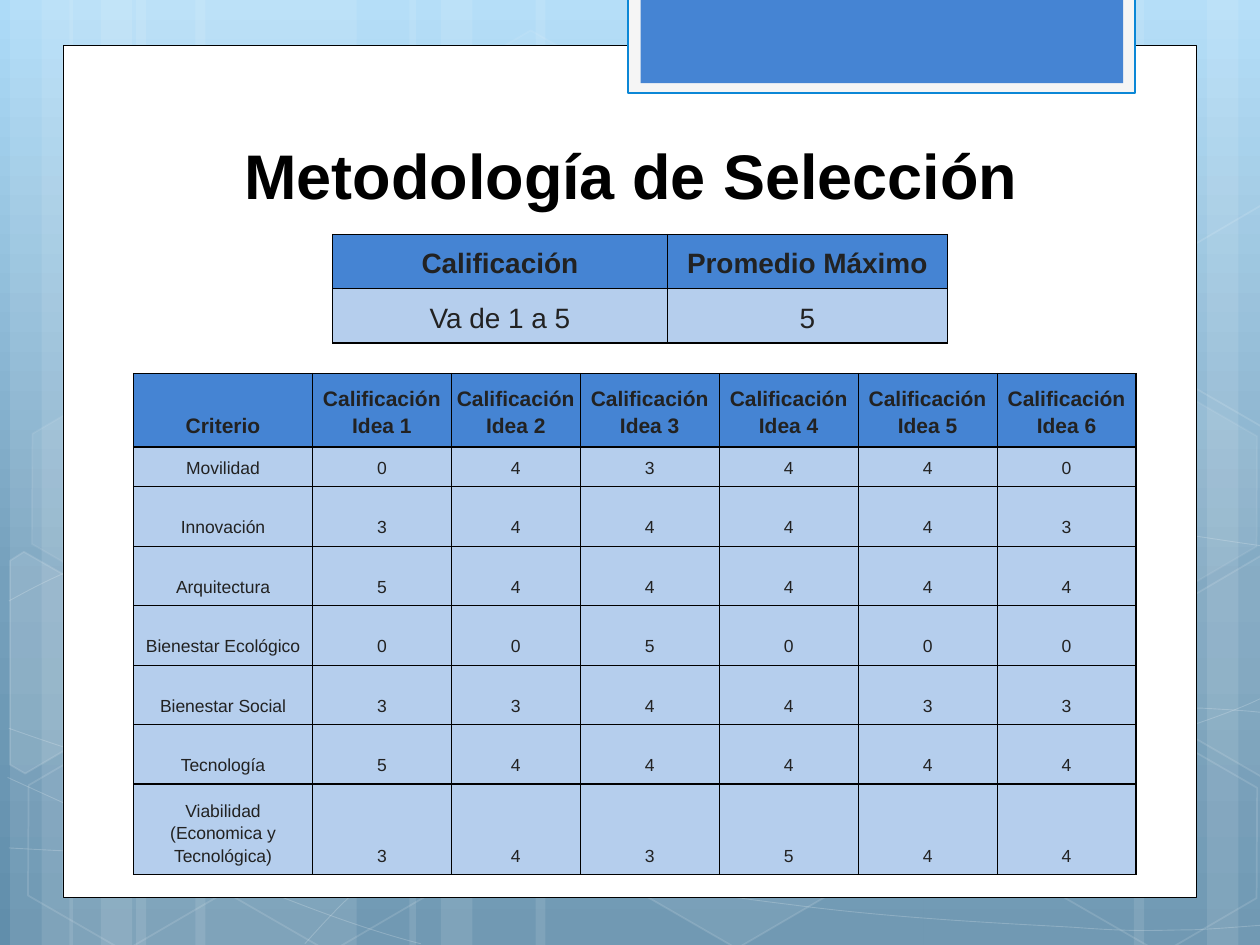
from dataclasses import dataclass
from typing import NamedTuple, Optional

from pptx import Presentation
from pptx.dml.color import RGBColor
from pptx.enum.shapes import MSO_SHAPE as Preset
from pptx.enum.text import MSO_ANCHOR as Anchor, PP_ALIGN as Align
from pptx.oxml import parse_xml
from pptx.oxml.ns import nsdecls, qn
from pptx.util import Inches, Pt

COLUMNS, ROWS = 100, 75
CELL = Inches(0.1)
FONT = "Arial"
WHITE = RGBColor(0xFF, 0xFF, 0xFF)
BLACK = RGBColor(0x00, 0x00, 0x00)
INK = RGBColor(0x22, 0x22, 0x22)
BLUE = RGBColor(0x45, 0x84, 0xD3)
PALE_BLUE = RGBColor(0xB5, 0xCE, 0xED)
TAB_GREY = RGBColor(0xF5, 0xF5, 0xF5)
TAB_EDGE = RGBColor(0x0B, 0x87, 0xD6)
SKY_STOPS = (
    (0, RGBColor(0xAD, 0xDB, 0xF8)),
    (62, RGBColor(0x75, 0xA0, 0xBC)),
    (100, RGBColor(0x61, 0x8E, 0xAB)),
)


class Box(NamedTuple):
    left: float
    top: float
    width: float
    height: float


@dataclass(frozen=True)
class Paint:
    fill: Optional[RGBColor] = None
    fill_alpha: int = 100
    line: Optional[RGBColor] = None
    line_width: float = 1
    line_alpha: int = 100


@dataclass(frozen=True)
class Grid:
    left: float
    top: float
    widths: tuple
    heights: tuple
    cells: tuple
    header_size: int
    body_size: int


BANDS = ((10.8, 17.5), (0.8, 5), (3.3, 8.3), (15.5, 17.5), (5.5, 5), (8, 8.3),
         (73.3, 17.5), (95.8, 5), (90, 8.3), (42.5, 30.8), (32.5, 5), (35, 8.3))
CURVES = (
    ((0.7, 67.3), (6.1, 67.6), (11.5, 67.9), (19, 67.8), (26.5, 67.7), (35.8, 67.5), (45.8, 66.5),
     (55.8, 65.5), (70, 63.6), (79.2, 61.7), (88.3, 59.8), (97.7, 56.8), (100.7, 55.1)),
    ((0.7, 47.7), (3.6, 46.1), (6.5, 44.6), (12.1, 43.1), (17.8, 41.6), (25.9, 39.4), (34.7, 38.7),
     (43.6, 38), (54.4, 37.9), (65.4, 38.7), (76.4, 39.5), (94.7, 42.6), (100.7, 43.4)),
    ((0.6, 61.7), (12.7, 67.2), (24.7, 72.7), (33.4, 74.9)),
    ((0.7, 57.8), (3.8, 58.9), (7, 60), (12.8, 61.6), (18.6, 63.1), (27.3, 65.6), (35.7, 67.3),
     (44, 69), (54.5, 70.8), (62.8, 71.8), (71.1, 72.9), (80, 73.3), (85.3, 73.6),
     (90.5, 74), (91.9, 73.8), (94.5, 73.8), (97.1, 73.7), (98.9, 73.5), (100.7, 73.4)),
    ((24.2, 74.9), (26, 72.9), (27.8, 70.9), (30.2, 69.1), (32.6, 67.3), (36, 65.3), (38.8, 63.9),
     (41.6, 62.5), (43.3, 61.9), (47, 60.9), (50.6, 59.9), (57.3, 58.5), (60.8, 57.8),
     (64.4, 57.1), (64.9, 57.1), (68, 56.9), (71.1, 56.6), (76, 56.3), (79.4, 56.2),
     (82.9, 56.1), (88.6, 56.2), (88.6, 56.2), (90.8, 56.2), (93.1, 56.2), (95.3, 56.2),
     (97.1, 56.3), (98.8, 56.4), (99.7, 56.5), (100.6, 56.6), (100.3, 56.5), (100.6, 56.6)),
)
CURVE_PAINT = Paint(line=WHITE, line_width=0.5, line_alpha=20)
OUTLINE = Paint(line=WHITE, line_alpha=12)
FAINT = Paint(WHITE, 7, WHITE, 1, 8)
HEXAGONS = (
    (33.4, 3.6, Paint(WHITE, 4, WHITE, 1, 8)),
    (49.7, 58.9, Paint(WHITE, 6, WHITE, 1, 12)),
    (1.1, 59.1, OUTLINE), (1.4, 31.2, FAINT), (17.4, 59.2, OUTLINE),
    (83.4, 59.3, OUTLINE), (83.4, 31.4, FAINT),
)
CUT_HEXAGONS = (
    (((0.8, 44.5), (1.9, 43.8), (9.6, 48.2), (9.5, 57), (2, 61.4), (0.8, 60.7)),
     Paint(WHITE, 10, WHITE, 1, 12)),
    (((92.6, 48.5), (100.1, 44.1), (100.9, 44.6), (100.9, 61.3), (100.2, 61.7), (92.6, 57.3)),
     Paint(WHITE, 4, WHITE, 1, 12)),
    (((92.6, 20.7), (100.1, 16.3), (101, 16.8), (100.9, 33.5), (100.2, 33.9), (92.6, 29.5)), OUTLINE),
)
PANELS = (
    (Box(5, 3.6, 90, 67.65), Paint(WHITE, line=BLACK, line_width=0.5)),
    (Box(49.85, -0.2, 40.25, 7.6), Paint(TAB_GREY, line=TAB_EDGE, line_width=1.25)),
    (Box(50.85, -0.2, 38.3, 6.8), Paint(BLUE)),
)
SCALE_TABLE = Grid(26.4, 18.6, (26.55, 22.25), (3, 3),
                   (("Calificación", "Promedio Máximo"), ("Va de 1 a 5", "5")), 16, 16)
SCORES = {
    "Movilidad": "043440", "Innovación": "344443", "Arquitectura": "544444",
    "Bienestar Ecológico": "005000", "Bienestar Social": "334433",
    "Tecnología": "544444", "Viabilidad (Economica y Tecnológica)": "343544",
}
SCORE_TABLE = Grid(
    10.6, 29.63, (14.2, 11.03, 10.23) + (11.03,) * 4, (5.4, 3) + (4.72,) * 5 + (7.2,),
    (("Criterio", *(f"Calificación Idea {idea}" for idea in range(1, 7))),
     *((criterion, *scores) for criterion, scores in SCORES.items())), 12, 10)


def emu(cells: float) -> int:
    """Convert grid cells to slide units."""
    return round(cells * CELL)


def set_color(fill, color: RGBColor, alpha: int, element) -> None:
    """Apply a solid colour, adding its opacity when it is translucent."""
    fill.solid()
    fill.fore_color.rgb = color
    if alpha < 100:
        color_element = element.find(qn("a:solidFill")).find(qn("a:srgbClr"))
        color_element.append(parse_xml(f'<a:alpha {nsdecls("a")} val="{alpha * 1000}"/>'))


def paint_shape(shape, paint: Paint) -> None:
    """Set fill, line and shadow of a shape."""
    shape.shadow.inherit = False
    properties = shape.element.spPr
    if paint.fill is None:
        shape.fill.background()
    else:
        set_color(shape.fill, paint.fill, paint.fill_alpha, properties)
    if paint.line is None:
        shape.line.fill.background()
    else:
        shape.line.width = Pt(paint.line_width)
        set_color(shape.line.fill, paint.line, paint.line_alpha, properties.find(qn("a:ln")))


def draw_preset(slide, preset: Preset, box: Box, paint: Paint):
    """Draw a preset shape on the grid."""
    shape = slide.shapes.add_shape(preset, *map(emu, box))
    paint_shape(shape, paint)
    return shape


def draw_outline(slide, points: tuple, paint: Paint, close: bool):
    """Draw a line or polygon through grid points."""
    start, *others = [(emu(x), emu(y)) for x, y in points]
    builder = slide.shapes.build_freeform(*start)
    builder.add_line_segments(others, close=close)
    shape = builder.convert_to_shape()
    paint_shape(shape, paint)
    return shape


def draw_curve(slide, points: tuple, paint: Paint) -> None:
    """Draw a chain of cubic Bézier segments, three points to each."""
    shape = draw_outline(slide, points, paint, False)
    segments = list(shape.element.iter(qn("a:lnTo")))
    for first in range(0, len(segments), 3):
        bezier = parse_xml(f'<a:cubicBezTo {nsdecls("a")}/>')
        segments[first].addprevious(bezier)
        for segment in segments[first:first + 3]:
            bezier.append(segment[0])
            segment.getparent().remove(segment)


def write_text(frame, text: str, size: int, color: RGBColor, bold: bool, spacing: float = 1.0) -> None:
    """Write one centred run."""
    frame.word_wrap = True
    paragraph = frame.paragraphs[0]
    paragraph.alignment = Align.CENTER
    paragraph.line_spacing = spacing
    run = paragraph.add_run()
    run.text = text
    run.font.name, run.font.size, run.font.bold = FONT, Pt(size), bold
    run.font.color.rgb = color


def draw_table(slide, grid: Grid) -> None:
    """Draw a bordered table with a darker header row."""
    box = Box(grid.left, grid.top, sum(grid.widths), sum(grid.heights))
    table = slide.shapes.add_table(len(grid.heights), len(grid.widths), *map(emu, box)).table
    table.horz_banding = False
    for column, width in zip(table.columns, grid.widths):
        column.width = emu(width)
    for index, (row, height, texts) in enumerate(zip(table.rows, grid.heights, grid.cells)):
        row.height = emu(height)
        header = index == 0
        for cell, text in zip(row.cells, texts):
            cell.vertical_anchor = Anchor.BOTTOM
            cell.margin_left = cell.margin_right = emu(0.3)
            cell.margin_top, cell.margin_bottom = emu(0.55), emu(0.7)
            cell.fill.solid()
            cell.fill.fore_color.rgb = BLUE if header else PALE_BLUE
            write_text(cell.text_frame, text, grid.header_size if header else grid.body_size,
                       INK, header, 1.15)
            for position, side in enumerate("LRTB"):
                cell._tc.tcPr.insert(position, parse_xml(
                    f'<a:ln{side} {nsdecls("a")} w="{Pt(0.75)}"><a:solidFill>'
                    f'<a:srgbClr val="{BLACK}"/></a:solidFill></a:ln{side}>'))


def draw_background(slide) -> None:
    """Draw the sky gradient with its bands, curves and hexagons."""
    stops = "".join(f'<a:gs pos="{share * 1000}"><a:srgbClr val="{color}"/></a:gs>'
                    for share, color in SKY_STOPS)
    slide.element.cSld.insert(0, parse_xml(
        f'<p:bg {nsdecls("p", "a")}><p:bgPr><a:gradFill><a:gsLst>{stops}</a:gsLst>'
        '<a:lin ang="5400000" scaled="0"/></a:gradFill><a:effectLst/></p:bgPr></p:bg>'))
    for left, width in BANDS:
        draw_preset(slide, Preset.RECTANGLE, Box(left, 0, width, ROWS), Paint(WHITE, 10))
    for points in CURVES:
        draw_curve(slide, points, CURVE_PAINT)
    for left, top, paint in HEXAGONS:
        hexagon = draw_preset(slide, Preset.HEXAGON, Box(left, top, 17.5, 15.2), paint)
        hexagon.adjustments[0] = 0.285
        hexagon.rotation = 30
    for points, paint in CUT_HEXAGONS:
        draw_outline(slide, points, paint, True)


def main() -> None:
    """Build and save the slide."""
    presentation = Presentation()
    presentation.slide_width, presentation.slide_height = emu(COLUMNS), emu(ROWS)
    slide = presentation.slides.add_slide(presentation.slide_layouts[6])
    draw_background(slide)
    for box, paint in PANELS:
        draw_preset(slide, Preset.RECTANGLE, box, paint)
    title = slide.shapes.add_textbox(*map(emu, Box(5.1, 7.6, 90, 12.5))).text_frame
    title.vertical_anchor = Anchor.MIDDLE
    title.margin_left = title.margin_right = title.margin_top = title.margin_bottom = emu(1)
    write_text(title, "Metodología de Selección", 36, BLACK, True)
    for grid in (SCALE_TABLE, SCORE_TABLE):
        draw_table(slide, grid)
    presentation.save("out.pptx")


if __name__ == "__main__":
    main()
